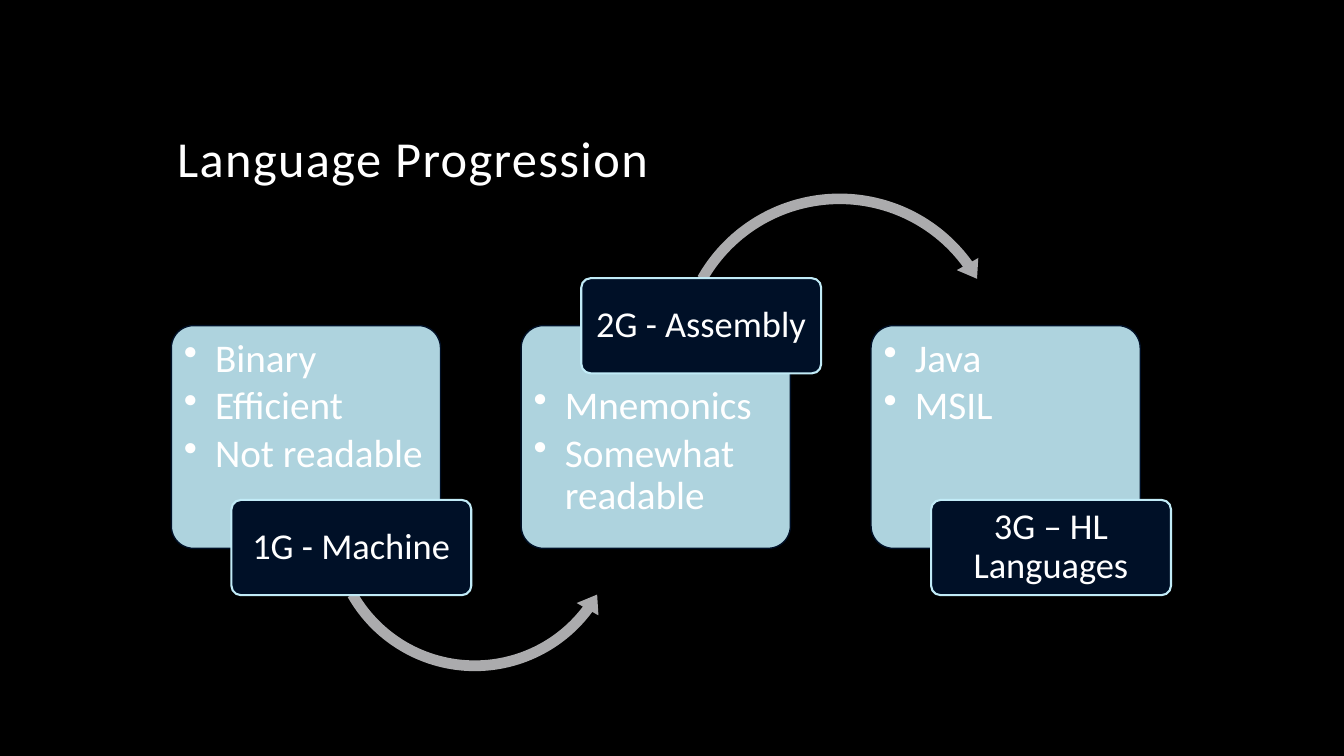
from lxml import etree
from pptx import Presentation, util as u
from pptx.dml.color import RGBColor
from pptx.enum import shapes, text
from pptx.oxml import ns

COLORS = {"black": "000000", "white": "FFFFFF", "navy": "001027", "ice": "C1EBF7", "gray": "ABABAD"}
FONT = "Calibri"
KIND = shapes.MSO_SHAPE
ANCHOR = text.MSO_ANCHOR
ALIGN = text.PP_ALIGN

CARD_LEFT, CARD_TOP, CARD_WIDTH, CARD_HEIGHT = 12.75, 43.07, 20.03, 29.47
STEP = 26.03
LABEL_SHIFT, LABEL_WIDTH, LABEL_HEIGHT = 4.47, 17.85, 12.6
LABEL_HIGH, LABEL_LOW = 36.8, 66.13

STAGES = [
    ("1G - Machine", ["Binary", "Efficient", "Not readable"], LABEL_LOW, 0.06),
    ("2G - Assembly", ["Mnemonics", "Somewhat readable"], LABEL_HIGH, 0.53),
    ("3G – HL Languages", ["Java", "MSIL"], LABEL_LOW, 0.06),
]
ARROWS = [
    (KIND.LEFT_CIRCULAR_ARROW, 23.93, 49.2, 22.8, (0.01 * 3.5, 4.28, 22.03, 90.25, 0.01 * 4.08)),
    (KIND.CIRCULAR_ARROW, 49.8, 24.67, 25.35, (0.01 * 3.1, 3.81, 194.43, 125.76, 0.01 * 3.62)),
]


def assign(target, values):
    for name, value in values.items():
        setattr(target, name, value)


class Deck:
    def __init__(self):
        self.deck = Presentation()
        assign(self.deck, {"slide_width": u.Inches(13.33), "slide_height": u.Inches(7.5)})
        self.slide = self.deck.slides.add_slide(self.deck.slide_layouts[6])
        self.paint(self.slide.background.fill, "black")

    def area(self, left, top, width, height):
        column, row = self.deck.slide_width / 100, self.deck.slide_height / 100
        return [round(n * unit) for n, unit in zip((left, top, width, height), (column, row) * 2)]

    def paint(self, fill, color):
        fill.solid()
        fill.fore_color.rgb = RGBColor.from_string(COLORS[color])

    def fill_text(self, box, lines, size, insets, anchor, align, gap=0):
        frame = box.text_frame
        margins = ("margin_left", "margin_top", "margin_right", "margin_bottom")
        assign(frame, dict(zip(margins, map(u.Inches, insets))))
        assign(frame, {"word_wrap": True, "vertical_anchor": anchor})
        for index, line in enumerate(lines):
            paragraph = frame.add_paragraph() if index else frame.paragraphs[0]
            assign(paragraph, {"alignment": align, "line_spacing": 0.9, "space_after": u.Pt(gap)})
            run = paragraph.add_run()
            run.text = line
            assign(run.font, {"name": FONT, "size": u.Pt(size)})
            self.paint(run.font.fill, "white")
        return frame

    def title(self, wording):
        box = self.slide.shapes.add_textbox(*self.area(12.45, 5.6, 75, 20))
        frame = self.fill_text(box, [wording], 36, (0.1, 0.05, 0.1, 0.05), ANCHOR.BOTTOM, ALIGN.LEFT)
        frame.paragraphs[0].runs[0]._r.get_or_add_rPr().set("spc", "100")

    def shape(self, kind, area, fill, adjustments, line=None, weight=0):
        shape = self.slide.shapes.add_shape(kind, *self.area(*area))
        shape.shadow.inherit = False
        self.paint(shape.fill, fill)
        if line:
            self.paint(shape.line.fill, line)
            shape.line.width = u.Pt(weight)
        else:
            shape.line.fill.background()
        for index, value in enumerate(adjustments):
            shape.adjustments[index] = value
        return shape

    def card(self, left, points, top_inset):
        area = (left, CARD_TOP, CARD_WIDTH, CARD_HEIGHT)
        card = self.shape(KIND.ROUNDED_RECTANGLE, area, "ice", [0.1], "navy", 1)
        color = card._element.spPr.find(ns.qn("a:solidFill"))[0]
        etree.SubElement(color, ns.qn("a:alpha"), val="90000")
        insets = (0.06, top_inset, 0.06, 0.06)
        frame = self.fill_text(card, points, 28, insets, ANCHOR.TOP, ALIGN.LEFT, 4)
        hang = u.Inches(0.31)
        for paragraph in frame.paragraphs:
            properties = paragraph._p.get_or_add_pPr()
            for name, value in {"marL": hang, "indent": -hang}.items():
                properties.set(name, str(int(value)))
            etree.SubElement(properties, ns.qn("a:buChar"), char="•")

    def arrow(self, kind, left, top, width, adjustments):
        height = width * self.deck.slide_width / self.deck.slide_height
        self.shape(kind, (left, top, width, height), "gray", adjustments)

    def label(self, left, top, wording):
        area = (left, top, LABEL_WIDTH, LABEL_HEIGHT)
        label = self.shape(KIND.ROUNDED_RECTANGLE, area, "navy", [0.1], "ice", 1.5)
        self.fill_text(label, [wording], 26, (0.05, 0.04, 0.05, 0.04), ANCHOR.MIDDLE, ALIGN.CENTER)


def main():
    deck = Deck()
    deck.title("Language Progression")
    for index, (name, points, label_top, top_inset) in enumerate(STAGES):
        left = CARD_LEFT + index * STEP
        deck.card(left, points, top_inset)
        for arrow in ARROWS[index:index + 1]:
            deck.arrow(*arrow)
        deck.label(left + LABEL_SHIFT, label_top, name)
    deck.deck.save("out.pptx")


if __name__ == "__main__":
    main()
